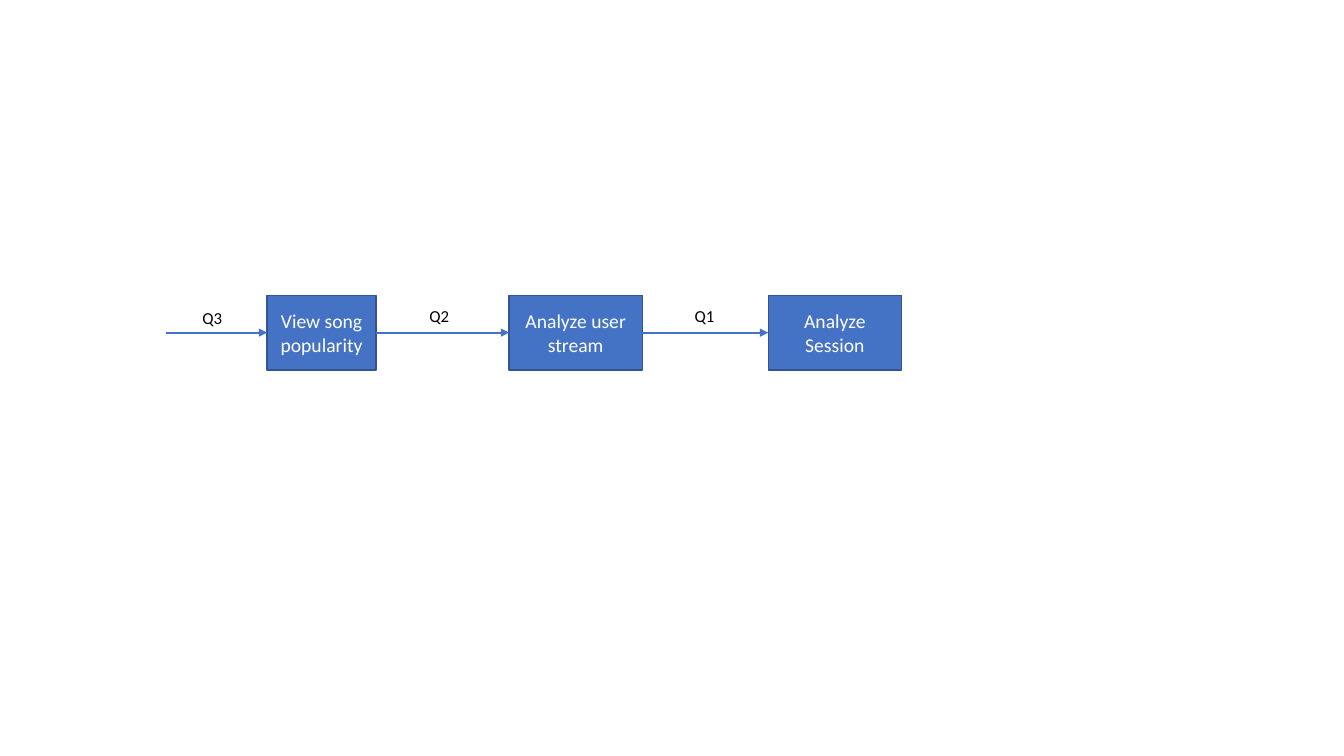
from dataclasses import dataclass

from lxml import etree
from pptx import Presentation
from pptx import util as u
from pptx.dml.color import RGBColor
from pptx.enum import shapes, text
from pptx.oxml import ns
from pptx.shapes.autoshape import Shape
from pptx.shapes.connector import Connector
from pptx.slide import Slide

BLUE = RGBColor(0x44, 0x72, 0xC4)
DARK_BLUE = RGBColor(0x32, 0x54, 0x91)
WHITE = RGBColor(0xFF, 0xFF, 0xFF)
BLACK = RGBColor(0x00, 0x00, 0x00)
FONT = "Calibri"

BOX_TOP, BOX_HEIGHT = 2.93, 0.74
FLOW_START = 1.65
LEFT_SIDE, RIGHT_SIDE = 1, 3


@dataclass(frozen=True)
class Step:
    """A box together with the label of the arrow leading into it."""
    title: str
    left: float
    width: float
    query: str
    query_left: float
    query_top: float


STEPS = (
    Step("View song popularity", 2.65, 1.08, "Q3", 1.91, 3.0),
    Step("Analyze user stream", 5.05, 1.32, "Q2", 4.16, 2.98),
    Step("Analyze Session", 7.62, 1.32, "Q1", 6.79, 2.98),
)


def write_text(shape: Shape, content: str, *, size: int, color: RGBColor,
               align: text.PP_ALIGN = text.PP_ALIGN.LEFT,
               anchor: text.MSO_ANCHOR = text.MSO_ANCHOR.TOP,
               wrap: bool = True) -> None:
    frame = shape.text_frame
    frame.word_wrap = wrap
    frame.vertical_anchor = anchor
    paragraph = frame.paragraphs[0]
    paragraph.alignment = align
    run = paragraph.add_run()
    run.text = content
    run.font.name = FONT
    run.font.size = u.Pt(size)
    run.font.color.rgb = color


def add_box(slide: Slide, step: Step) -> Shape:
    box = slide.shapes.add_shape(
        shapes.MSO_SHAPE.RECTANGLE, u.Inches(step.left), u.Inches(BOX_TOP),
        u.Inches(step.width), u.Inches(BOX_HEIGHT))
    box.shadow.inherit = False
    box.fill.solid()
    box.fill.fore_color.rgb = BLUE
    box.line.color.rgb = DARK_BLUE
    box.line.width = u.Pt(1)
    write_text(box, step.title, size=14, color=WHITE,
               align=text.PP_ALIGN.CENTER, anchor=text.MSO_ANCHOR.MIDDLE)
    return box


def add_arrow(slide: Slide, source: Shape | None, target: Shape) -> Connector:
    """Join source to target; without a source, start at the flow's left end."""
    middle = u.Inches(BOX_TOP + BOX_HEIGHT / 2)
    arrow = slide.shapes.add_connector(
        shapes.MSO_CONNECTOR.STRAIGHT, u.Inches(FLOW_START), middle,
        target.left, middle)
    if source is not None:
        arrow.begin_connect(source, RIGHT_SIDE)
    arrow.end_connect(target, LEFT_SIDE)
    arrow.line.color.rgb = BLUE
    arrow.line.width = u.Pt(1.5)
    line = arrow.line._get_or_add_ln()
    etree.SubElement(line, ns.qn("a:tailEnd"), type="triangle")
    etree.SubElement(arrow._element.spPr, ns.qn("a:effectLst"))
    return arrow


def add_query_label(slide: Slide, step: Step) -> Shape:
    label = slide.shapes.add_textbox(
        u.Inches(step.query_left), u.Inches(step.query_top),
        u.Inches(0.4), u.Inches(0.3))
    write_text(label, step.query, size=12, color=BLACK, wrap=False)
    label.text_frame.auto_size = text.MSO_AUTO_SIZE.SHAPE_TO_FIT_TEXT
    return label


def main() -> None:
    presentation = Presentation()
    presentation.slide_width = u.Inches(13.33)
    presentation.slide_height = u.Inches(7.5)
    slide = presentation.slides.add_slide(presentation.slide_layouts[6])

    boxes = [add_box(slide, step) for step in STEPS]
    for source, target in zip([None, *boxes], boxes):
        add_arrow(slide, source, target)
    for step in STEPS:
        add_query_label(slide, step)

    presentation.save("out.pptx")


if __name__ == "__main__":
    main()
